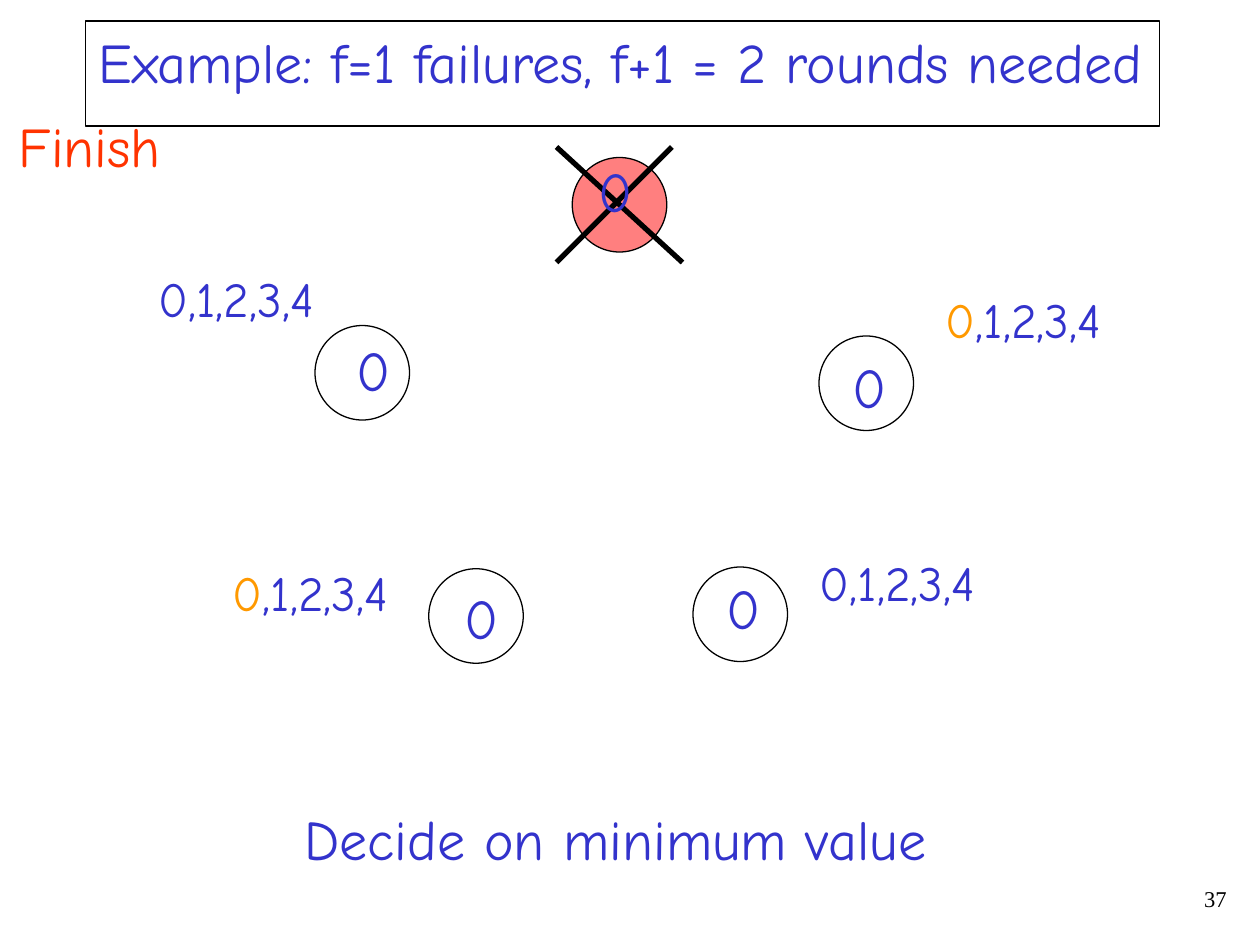
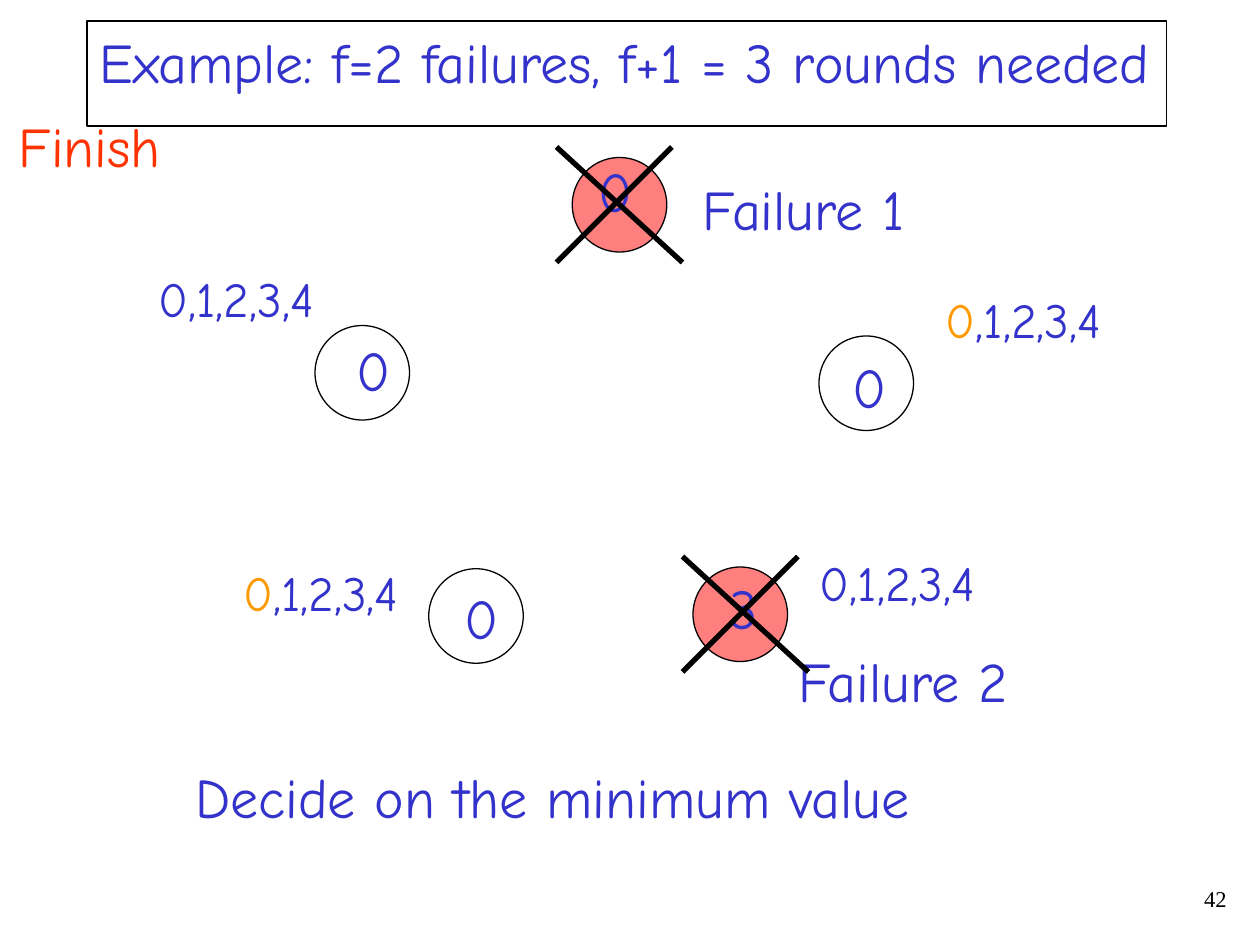
"""Build two slides showing how consensus rounds finish after failures."""
from dataclasses import dataclass, replace

import pptx
import pptx.dml.color
import pptx.enum.shapes
import pptx.enum.text
import pptx.oxml.ns
import pptx.shapes.base
import pptx.slide
import pptx.util
from lxml import etree

Pt = pptx.util.Pt
ALIGN = pptx.enum.text.PP_ALIGN
COLORS = {"ink": "000000", "text": "3333CC", "finish": "FF3300",
          "learned": "FF9900", "failed": "FF0000"}
FONT = "Comic Neue"
NUMBER_FONT = "Times New Roman"
DIAMETER = 54
LABEL_HEIGHT = 46
KNOWN_VALUES = ",1,2,3,4"


@dataclass(frozen=True)
class Label:
    text: str
    x: float
    y: float
    width: float
    color: str = "text"


@dataclass(frozen=True)
class Process:
    x: float
    y: float
    value: Label
    known_at: tuple[float, float] | None = None
    learned_zero: bool = False
    cross_dx: float | None = None


@dataclass(frozen=True)
class Scene:
    title: Label
    number: str
    processes: list[Process]
    labels: list[Label]
    value_over_cross: bool = False


def rgb(name: str) -> pptx.dml.color.RGBColor:
    return pptx.dml.color.RGBColor.from_string(COLORS[name])


def write(sp: pptx.shapes.base.BaseShape, *runs: tuple[str, str], size: float = 32,
          font: str = FONT, align: ALIGN = ALIGN.LEFT, before: float = 8,
          line_spacing: float = 1.0, grow: bool = True) -> None:
    tf = sp.text_frame
    tf.word_wrap = not grow
    sizing = pptx.enum.text.MSO_AUTO_SIZE
    tf.auto_size = sizing.SHAPE_TO_FIT_TEXT if grow else sizing.NONE
    tf.vertical_anchor = pptx.enum.text.MSO_ANCHOR.TOP
    tf.margin_left = tf.margin_right = Pt(7.2)
    tf.margin_top = tf.margin_bottom = Pt(3.6)
    p = tf.paragraphs[0]
    p.alignment = align
    p.space_before = Pt(before)
    p.line_spacing = line_spacing
    for text, color in runs:
        r = p.add_run()
        r.text = text
        r.font.name = font
        r.font.size = Pt(size)
        r.font.color.rgb = rgb(color)


def add_text(slide: pptx.slide.Slide, x: float, y: float, width: float, height: float,
             *runs: tuple[str, str], **fmt) -> None:
    sp = slide.shapes.add_textbox(Pt(x), Pt(y), Pt(width), Pt(height))
    write(sp, *runs, **fmt)


def add_label(slide: pptx.slide.Slide, label: Label) -> None:
    add_text(slide, label.x, label.y, label.width, LABEL_HEIGHT, (label.text, label.color))


def add_title(slide: pptx.slide.Slide, label: Label) -> None:
    sp = slide.shapes.title
    sp.left, sp.top = Pt(label.x), Pt(label.y)
    sp.width, sp.height = Pt(label.width), Pt(LABEL_HEIGHT)
    sp.line.color.rgb = rgb("ink")
    sp.line.width = Pt(0.75)
    write(sp, (label.text, label.color))


def add_circle(slide: pptx.slide.Slide, process: Process) -> None:
    sp = slide.shapes.add_shape(pptx.enum.shapes.MSO_SHAPE.OVAL, Pt(process.x),
                                Pt(process.y), Pt(DIAMETER), Pt(DIAMETER))
    sp.shadow.inherit = False
    sp.line.color.rgb = rgb("ink")
    sp.line.width = Pt(0.75)
    if process.cross_dx is None:
        sp.fill.background()
        return
    sp.fill.solid()
    sp.fill.fore_color.rgb = rgb("failed")
    fill_color = sp.fill._xPr.find(".//" + pptx.oxml.ns.qn("a:srgbClr"))
    etree.SubElement(fill_color, pptx.oxml.ns.qn("a:alpha"), val="50000")


def add_stroke(slide: pptx.slide.Slide, x1: float, y1: float, x2: float, y2: float) -> None:
    line = slide.shapes.add_connector(pptx.enum.shapes.MSO_CONNECTOR.STRAIGHT,
                                      Pt(x1), Pt(y1), Pt(x2), Pt(y2))
    line.line.color.rgb = rgb("ink")
    line.line.width = Pt(3)
    etree.SubElement(line._element.spPr, pptx.oxml.ns.qn("a:effectLst"))


def add_cross(slide: pptx.slide.Slide, process: Process) -> None:
    left, top = process.x + process.cross_dx, process.y - 6
    bottom = top + 66
    add_stroke(slide, left, top, left + 72, bottom)
    add_stroke(slide, left, bottom, left + 66, top)


def add_known(slide: pptx.slide.Slide, process: Process) -> None:
    first = ("0", "learned" if process.learned_zero else "text")
    add_text(slide, *process.known_at, 103, 41, first, (KNOWN_VALUES, "text"),
             size=28, before=7)


def build(prs: pptx.presentation.Presentation, scene: Scene) -> None:
    slide = prs.slides.add_slide(prs.slide_layouts[5])
    add_title(slide, scene.title)
    add_text(slide, 558, 504, 150, 24, (scene.number, "ink"), size=12.9, font=NUMBER_FONT,
             align=ALIGN.RIGHT, before=0, line_spacing=0.9, grow=False)
    for process in scene.processes:
        add_circle(slide, process)
        if process.known_at:
            add_known(slide, process)
    for label in scene.labels:
        add_label(slide, label)
    failed = [process for process in scene.processes if process.cross_dx is not None]
    if scene.value_over_cross:
        for process in failed:
            add_cross(slide, process)
    for process in scene.processes:
        add_label(slide, process.value)
    if not scene.value_over_cross:
        for process in failed:
            add_cross(slide, process)


def zero(x: float, y: float) -> Label:
    return Label("0", x, y, 34)


TOP = Process(327, 90, zero(334.8, 85.7), cross_dx=-9)
LEFT = Process(180, 186, zero(196.5, 188), (83.5, 150))
RIGHT = Process(468, 192, zero(480.2, 198), (533.5, 162), learned_zero=True)
LOWER_RIGHT = Process(396, 324, zero(408.2, 324), (461.5, 312))
LOWER_LEFT = Process(245, 325, zero(258.5, 330), (126, 318), learned_zero=True)
FINISH = Label("Finish", 3.6, 60, 96, "finish")

SCENES = [
    Scene(Label("Example: f=1 failures, f+1 = 2 rounds needed", 49, 12, 613.5), "37",
          [TOP, LEFT, RIGHT, LOWER_RIGHT, LOWER_LEFT],
          [FINISH, Label("Decide on minimum value", 167, 456, 371)],
          value_over_cross=True),
    Scene(Label("Example: f=2 failures, f+1 = 3 rounds needed", 49.7, 12, 617), "42",
          [TOP, LEFT, RIGHT,
           replace(LOWER_RIGHT, value=Label("3", 409.7, 324, 30), cross_dx=-6),
           replace(LOWER_LEFT, known_at=(132, 318))],
          [FINISH, Label("Failure 1", 394.6, 96, 132), Label("Failure 2", 449.3, 366, 136),
           Label("Decide on the minimum value", 104.4, 432, 423)]),
]


def main() -> None:
    prs = pptx.Presentation()
    prs.slide_width, prs.slide_height = Pt(720), Pt(540)
    for scene in SCENES:
        build(prs, scene)
    prs.save("out.pptx")


if __name__ == "__main__":
    main()
